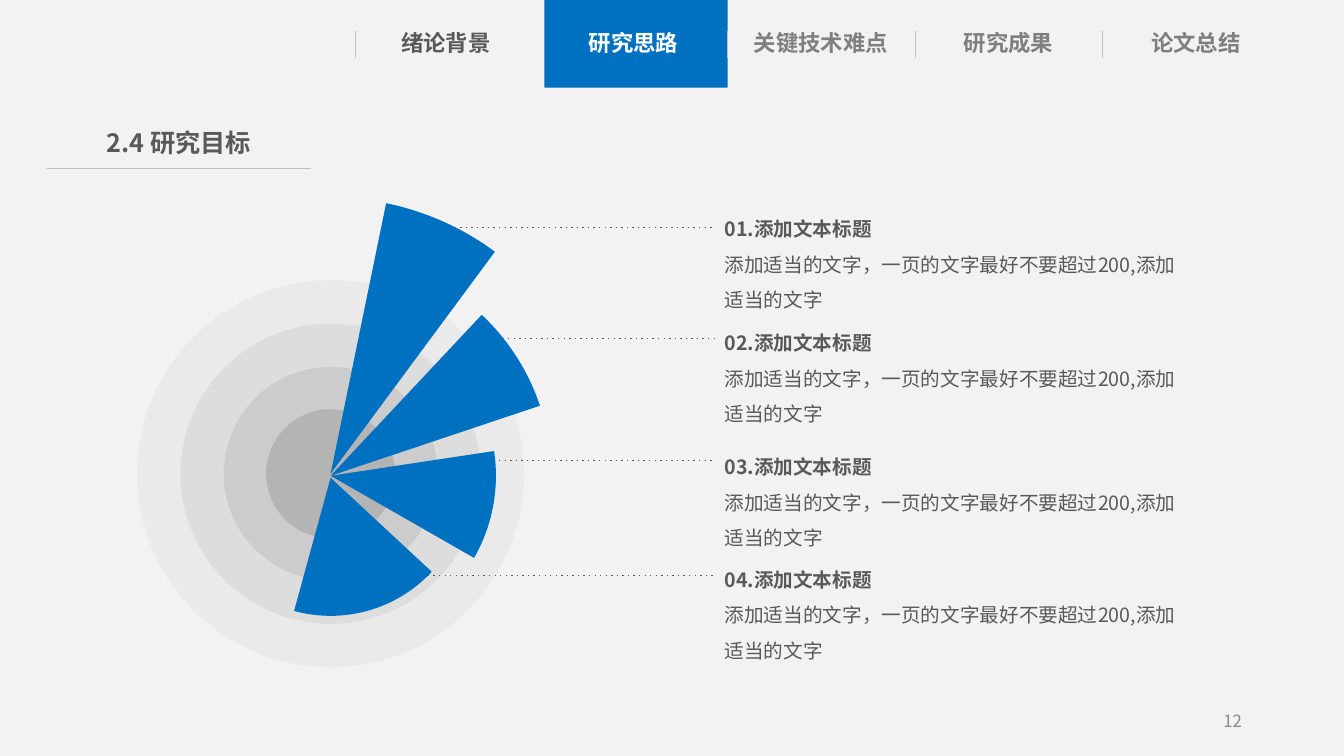
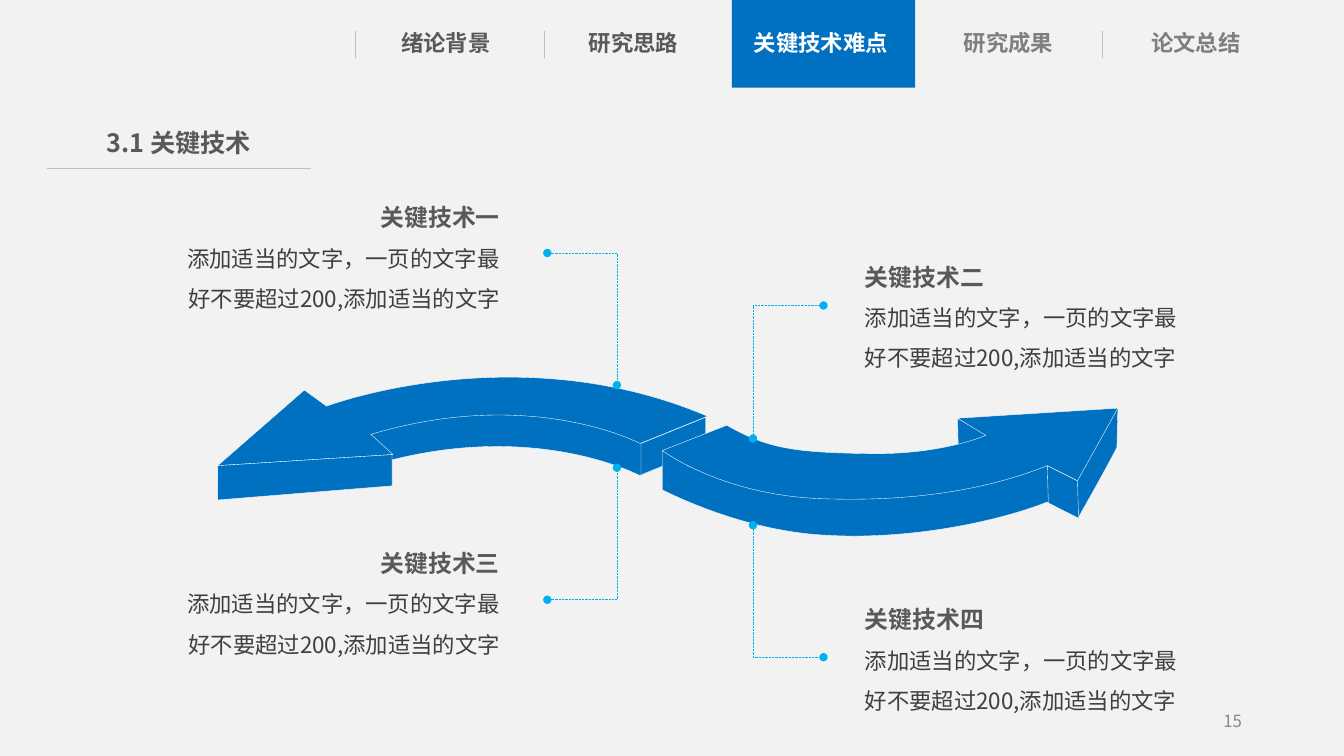
from lxml.etree import SubElement
from pptx import Presentation
from pptx.dml.color import RGBColor
from pptx.enum.dml import MSO_LINE
from pptx.enum.shapes import MSO_CONNECTOR, MSO_SHAPE
from pptx.enum.text import MSO_ANCHOR, MSO_AUTO_SIZE, PP_ALIGN
from pptx.oxml.ns import qn
from pptx.util import Inches, Pt

WIDE, HIGH = 40 / 3, 7.5
FONT = "Noto Sans CJK SC"
HUES = {
    "back": "F2F2F2", "blue": "0070C0", "cyan": "00B0F0", "white": "FFFFFF",
    "dark": "595959", "body": "3F3F3F", "mid": "7F7F7F", "page": "898989",
    "rule": "BFBFBF", "ring1": "D8D8D8", "ring2": "BFBFBF",
    "ring3": "A5A5A5", "ring4": "7F7F7F",
}
LEFT, MID, RIGHT = PP_ALIGN.LEFT, PP_ALIGN.CENTER, PP_ALIGN.RIGHT

TABS = ["绪论背景", "研究思路", "关键技术难点", "研究成果", "论文总结"]
TAB_STEP = 1.86
MARKS = [3.53, 5.4, 7.22, 9.08, 10.94]
NOTE = "添加适当的文字，一页的文字最好不要超过200,添加适当的文字"

# Goals: heading, text top, leader start x, leader y
GOALS = [
    ("01.添加文本标题", 1.99, 4.51, 2.26),
    ("02.添加文本标题", 3.12, 4.93, 3.36),
    ("03.添加文本标题", 4.35, 4.51, 4.57),
    ("04.添加文本标题", 5.47, 4.19, 5.71),
]
HUB = (3.28, 4.7)
RINGS = [("ring1", 1.92), ("ring2", 1.49), ("ring3", 1.06), ("ring4", 0.64)]
# Wedges: radius, start and end angle (clockwise from the right), drop of the hub
WEDGES = [
    (2.74, 281.6, 306.5, 0), (2.19, 313.2, 341.5, 0.02),
    (1.64, 351.4, 29.8, 0.02), (1.37, 42.9, 105.3, 0.04),
]

# Skills: heading, text left, text top, alignment, leader points
SKILLS = [
    ("关键技术一", 1.68, 1.81, RIGHT, [(6.12, 3.82), (6.12, 2.51), (5.43, 2.51)]),
    ("关键技术二", 8.45, 2.4, LEFT, [(7.47, 4.35), (7.47, 3.03), (8.17, 3.03)]),
    ("关键技术三", 1.68, 5.24, RIGHT, [(6.12, 4.64), (6.12, 5.95), (5.43, 5.95)]),
    ("关键技术四", 8.45, 5.8, LEFT, [(7.47, 5.21), (7.47, 6.52), (8.17, 6.52)]),
]

# Arrow faces: two numbers draw a line, six draw a curve
FACES = [
    [(7.02, 4.44), (6.35, 4.72), (6.35, 4.72, 5.28, 4.14, 3.68, 4.62),
     (3.9, 4.82), (2.16, 4.93), (2.17, 4.61),
     (2.55, 4.56, 2.43, 4.38, 3.24, 4.35),
     (4.04, 4.32, 5.12, 3.63, 7.02, 4.44)],
    [(7.02, 4.13), (6.35, 4.4), (6.35, 4.4, 5.28, 3.83, 3.68, 4.31),
     (3.9, 4.51), (2.16, 4.62), (3.02, 3.87), (3.24, 4.03),
     (3.24, 4.03, 5.12, 3.32, 7.02, 4.13)],
    [(3.89, 4.51), (3.89, 4.82), (2.16, 4.96), (2.16, 4.62)],
    [(6.36, 4.4), (6.36, 4.71), (7, 4.45), (7, 4.14)],
    [(9.5, 4.15), (9.51, 4.58), (9.81, 4.74), (9.8, 4.32)],
    [(6.57, 4.47), (6.57, 4.86), (6.58, 4.86, 7.34, 5.27, 8.2, 5.31),
     (9.06, 5.36, 9.94, 5.16, 10.39, 4.98), (10.7, 5.13),
     (10.7, 5.13, 10.94, 4.71, 11.08, 4.44), (11.09, 4.05),
     (10.56, 4.2, 9.71, 4.41, 9.49, 4.51),
     (9.28, 4.61, 9.68, 4.62, 9.78, 4.68),
     (9.78, 4.68, 9.11, 4.9, 8.58, 4.86),
     (8.05, 4.83, 6.96, 4.68, 6.57, 4.47)],
    [(7.21, 4.22), (6.57, 4.47), (6.57, 4.47, 7.18, 4.93, 8.21, 4.95),
     (9.25, 4.98, 9.94, 4.8, 10.39, 4.62), (10.69, 4.77), (11.09, 4.05),
     (9.5, 4.15), (9.78, 4.32), (9.78, 4.32, 9.33, 4.52, 8.59, 4.5),
     (7.85, 4.49, 7.6, 4.44, 7.21, 4.22)],
    [(10.39, 4.62), (10.4, 4.99), (10.7, 5.14), (10.69, 4.77)],
]


def hue(name):
    return RGBColor.from_string(HUES[name])


def place(shape, box):
    shape.left, shape.top, shape.width, shape.height = map(Inches, box)


def write(shape, *lines, align=LEFT, inset=(0, 0.05), space=1,
          anchor=MSO_ANCHOR.TOP):
    """Fill a shape with lines, each given as (text, size, colour, bold)."""
    frame = shape.text_frame
    frame.word_wrap = True
    frame.auto_size = MSO_AUTO_SIZE.NONE
    frame.vertical_anchor = anchor
    frame.margin_left = frame.margin_right = Inches(inset[0])
    frame.margin_top = frame.margin_bottom = Inches(inset[1])
    for i, (text, size, tint, bold) in enumerate(lines):
        para = frame.add_paragraph() if i else frame.paragraphs[0]
        para.alignment, para.line_spacing = align, space
        run = para.add_run()
        run.text = text
        font = run.font
        font.size, font.bold, font.name = Pt(size), bold, FONT
        font.color.rgb = hue(tint)
        SubElement(font._element, qn("a:ea"), typeface=FONT)


def label(slide, box, *lines, **look):
    write(slide.shapes.add_textbox(*map(Inches, box)), *lines, **look)


def paint(shape, fill=None, line=None, width=0.25, alpha=None):
    shape.shadow.inherit = False
    if fill:
        shape.fill.solid()
        shape.fill.fore_color.rgb = hue(fill)
        if alpha:
            tint = shape.fill._xPr.find(".//" + qn("a:srgbClr"))
            SubElement(tint, qn("a:alpha"), val=str(alpha * 1000))
    else:
        shape.fill.background()
    if line:
        shape.line.color.rgb = hue(line)
        shape.line.width = Pt(width)
    else:
        shape.line.fill.background()


def solid(slide, kind, box, fill, alpha=None):
    shape = slide.shapes.add_shape(kind, *map(Inches, box))
    paint(shape, fill, alpha=alpha)
    return shape


def rule(slide, start, end, tint="rule", width=0.5, dots=False):
    wire = slide.shapes.add_connector(
        MSO_CONNECTOR.STRAIGHT, *map(Inches, start + end))
    wire.line.color.rgb = hue(tint)
    wire.line.width = Pt(width)
    if dots:
        wire.line.dash_style = MSO_LINE.ROUND_DOT
        wire.line._ln.find(qn("a:prstDash")).set("val", "dot")
    SubElement(wire._element.spPr, qn("a:effectLst"))


def outline(slide, steps, close=True):
    """Draw lines, then join the three points of each curve into one."""
    spots = [(Inches(step[i]), Inches(step[i + 1]))
             for step in steps for i in range(0, len(step), 2)]
    build = slide.shapes.build_freeform(*spots[0])
    build.add_line_segments(spots[1:], close=close)
    shape = build.convert_to_shape()
    route = shape._element.find(".//" + qn("a:path"))
    legs = iter(route.findall(qn("a:lnTo")))
    for step in steps[1:]:
        leg = next(legs)
        if len(step) == 6:
            leg.tag = qn("a:cubicBezTo")
            for _ in range(2):
                extra = next(legs)
                leg.append(extra[0])
                route.remove(extra)
    return shape


def disc(radius, drop=0):
    return (HUB[0] - radius, HUB[1] + drop - radius, 2 * radius, 2 * radius)


def start(deck, title, page, now, marks):
    """Add a slide with its tab bar, title and page number."""
    slide = deck.slides.add_slide(deck.slide_layouts[5])
    head = slide.shapes.title
    place(head, (0.74, 1.21, 2.07, 0.42))
    write(head, (title, 18, "dark", True), align=MID)
    rule(slide, (0.47, 1.67), (3.09, 1.67))
    solid(slide, MSO_SHAPE.RECTANGLE, (0, 0, WIDE, 0.87), "back")
    solid(slide, MSO_SHAPE.RECTANGLE,
          (3.54 + TAB_STEP * now, 0, 1.82, 0.87), "blue")
    for i in marks:
        rule(slide, (MARKS[i], 0.31), (MARKS[i], 0.58))
    for i, tab in enumerate(TABS):
        tint = "white" if i == now else "dark" if i < now else "mid"
        label(slide, (3.69 + TAB_STEP * i, 0.24, 1.47, 0.38),
              (tab, 16, tint, True), align=MID)
    label(slide, (9.42, 6.95, 3, 0.4), (page, 12, "page", False),
          align=RIGHT, inset=(0.1, 0.05), anchor=MSO_ANCHOR.MIDDLE)
    return slide


def draw_goals(slide):
    for tint, radius in RINGS:
        solid(slide, MSO_SHAPE.OVAL, disc(radius), tint, alpha=30)
    for head, top, x, y in GOALS:
        rule(slide, (x, y), (7.1, y), "dark", 1, dots=True)
        label(slide, (7.09, top, 4.8, 1.16), (head, 14, "dark", True),
              (NOTE, 14, "dark", False), inset=(0.1, 0.05), space=1.5)
    for radius, first, last, drop in WEDGES:
        wedge = solid(slide, MSO_SHAPE.PIE, disc(radius, drop), "blue")
        # Angles count in 60000ths of a degree, adjustments in 100000ths
        for i, angle in enumerate((first, last)):
            wedge.adjustments[i] = angle * 0.6


def draw_skills(slide):
    for face in FACES:
        paint(outline(slide, face), "blue", "white")
    for head, left, top, align, points in SKILLS:
        label(slide, (left, top, 3.41, 1.37), (head, 17, "dark", True),
              (NOTE, 16, "body", False), align=align, inset=(0.13, 0.06),
              space=1.5)
        lead = outline(slide, points, close=False)
        paint(lead, line="cyan", width=0.5)
        lead.line.dash_style = MSO_LINE.ROUND_DOT
        for end in ("a:headEnd", "a:tailEnd"):
            SubElement(lead.line._ln, qn(end), type="oval")


def main():
    deck = Presentation()
    deck.slide_width, deck.slide_height = Inches(WIDE), Inches(HIGH)
    goals = start(deck, "2.4 研究目标", "12", 1, (0, 2, 3, 4))
    skills = start(deck, "3.1 关键技术", "15", 2, (0, 1, 4))
    # The backdrop is drawn on a slide, then moved behind the master's parts
    back = solid(goals, MSO_SHAPE.RECTANGLE, (0, 0, WIDE, HIGH), "back")
    deck.slide_master.shapes._spTree.insert(2, back._element)
    draw_goals(goals)
    draw_skills(skills)
    deck.save("out.pptx")


if __name__ == "__main__":
    main()
